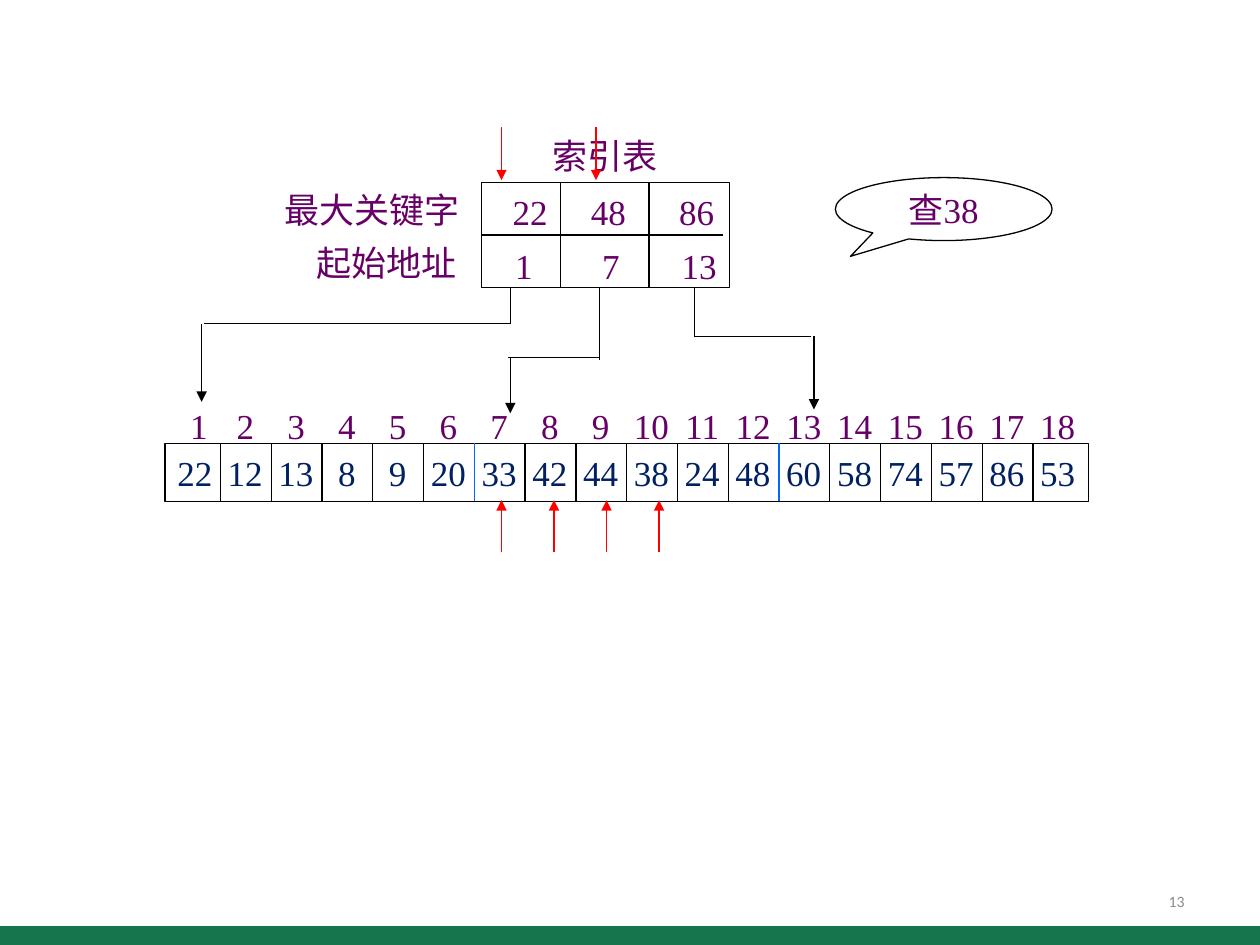
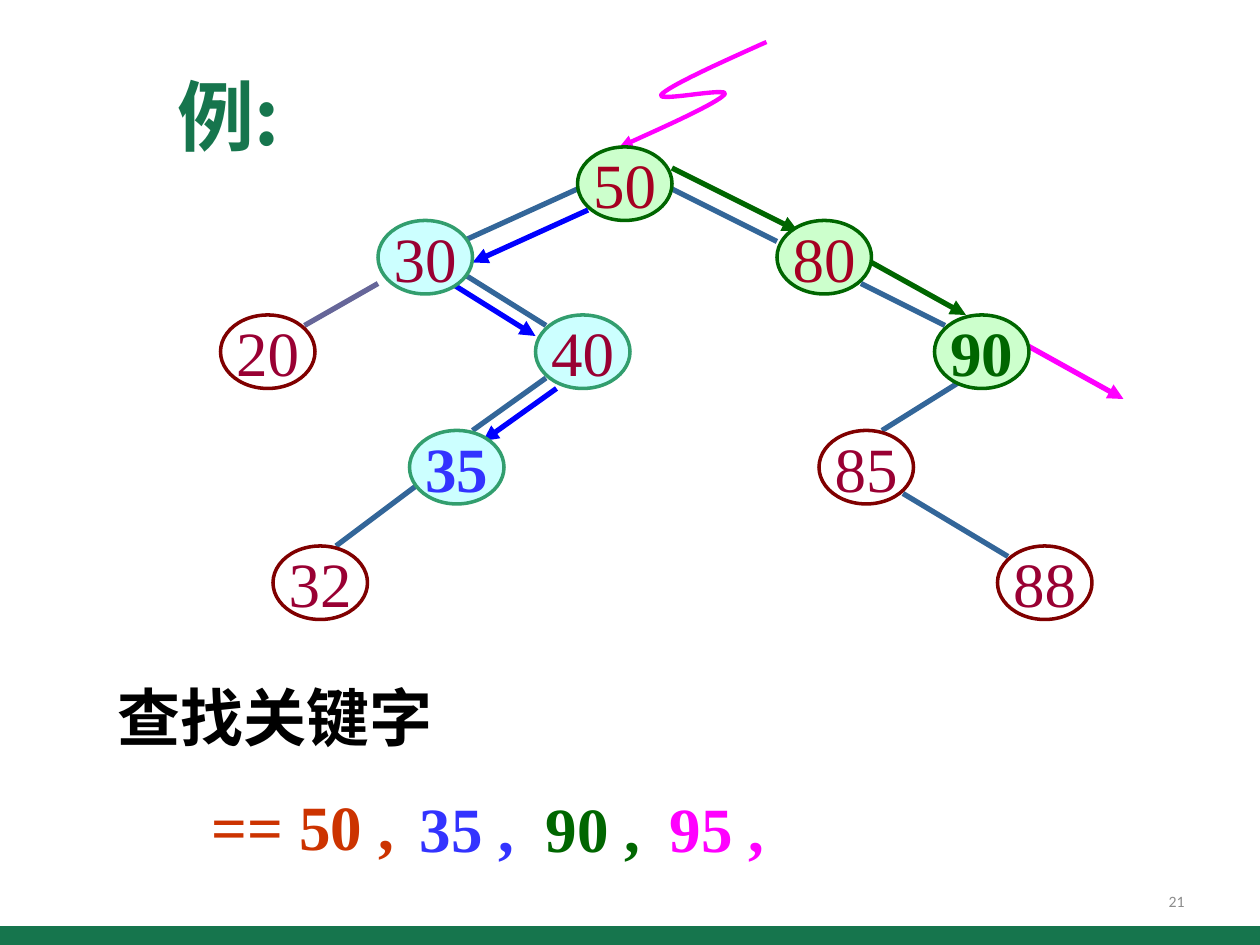
from dataclasses import dataclass
from typing import NamedTuple

import pptx
import pptx.dml.color
import pptx.enum.shapes
import pptx.enum.text
import pptx.oxml
import pptx.oxml.ns
import pptx.util

SHAPE = pptx.enum.shapes.MSO_SHAPE
ALIGN = pptx.enum.text.PP_ALIGN
ANCHOR = pptx.enum.text.MSO_ANCHOR


@dataclass(frozen=True)
class Theme:
    width: int = pptx.util.Inches(10)
    height: int = pptx.util.Inches(7.5)
    green: str = "16754D"
    gray: str = "8C8C8C"
    black: str = "000000"
    purple: str = "660066"
    navy: str = "002060"
    red: str = "FF0000"
    divider: str = "0066FF"
    edge: str = "336699"
    faded_edge: str = "666699"
    blue: str = "0000FF"
    blue_text: str = "3333FF"
    dark_green: str = "006600"
    magenta: str = "FF00FF"
    orange: str = "CC3300"
    maroon: str = "990033"
    crimson: str = "A50021"
    serif: str = "Times New Roman"
    chinese: str = "Noto Sans CJK SC"
    sans: str = "Calibri"
    number_size: float = 9
    small_size: float = 20
    large_size: float = 36
    title_size: float = 44
    thin: float = 0.75
    outline: float = 2
    curve: float = 2.5
    thick: float = 3


THEME = Theme()


class Area(NamedTuple):
    left: float
    top: float
    width: float
    height: float


class Segment(NamedTuple):
    x1: float
    y1: float
    x2: float
    y2: float
    color: str = THEME.black
    arrow: bool = False


class Style(NamedTuple):
    size: float
    font: str
    color: str
    bold: bool = False


class Label(NamedTuple):
    text: str
    area: Area
    style: Style


class NodeLook(NamedTuple):
    fill: str | None
    line: str


class Node(NamedTuple):
    key: str
    column: float
    row: float
    look: NodeLook
    color: str
    bold: bool = False


@dataclass(frozen=True)
class Grid:
    columns: int
    rows: int

    def x(self, column: float) -> int:
        return round(THEME.width * column / self.columns)

    def y(self, row: float) -> int:
        return round(THEME.height * row / self.rows)

    def place(self, area: Area) -> tuple[int, int, int, int]:
        return (self.x(area.left), self.y(area.top),
                self.x(area.width), self.y(area.height))


FINE = Grid(1000, 750)
TREE = Grid(120, 90)

INDEX_TEXT = Style(THEME.small_size, THEME.serif, THEME.purple)
INDEX_CHINESE = Style(THEME.small_size, THEME.chinese, THEME.purple)
RECORD_TEXT = Style(THEME.small_size, THEME.serif, THEME.navy)


def rgb(color: str):
    return pptx.dml.color.RGBColor.from_string(color)


def add_runs(para, runs: list[tuple[str, Style]]) -> None:
    for text, style in runs:
        span = para.add_run()
        span.text = text
        values = {"size": pptx.util.Pt(style.size), "name": style.font, "bold": style.bold}
        for name, value in values.items():
            setattr(span.font, name, value)
        span.font.color.rgb = rgb(style.color)
        if style.font == THEME.chinese:
            east_asian = pptx.oxml.ns.qn("a:ea")
            span.font._element.makeelement(east_asian)
            latin = span.font._element.find(pptx.oxml.ns.qn("a:latin"))
            latin.addnext(latin.makeelement(east_asian, {"typeface": style.font}))


def write(box, runs: list[tuple[str, Style]], align=ALIGN.LEFT, anchor=ANCHOR.TOP,
          wrap: bool = False, stops: list[int] | None = None) -> None:
    frame = box.text_frame
    values = {"word_wrap": wrap, "vertical_anchor": anchor,
              "auto_size": pptx.enum.text.MSO_AUTO_SIZE.NONE}
    for name, value in values.items():
        setattr(frame, name, value)
    para = frame.paragraphs[0]
    para.alignment = align
    if stops:
        frame.margin_right = 0
        properties = para._p.get_or_add_pPr()
        tab_list = properties.makeelement(pptx.oxml.ns.qn("a:tabLst"))
        properties.append(tab_list)
        for stop in stops:
            tab_list.append(tab_list.makeelement(
                pptx.oxml.ns.qn("a:tab"), {"pos": str(stop), "algn": "ctr"}))
    add_runs(para, runs)


def add_label(page, grid: Grid, label: Label, **layout) -> None:
    box = page.shapes.add_textbox(*grid.place(label.area))
    write(box, [(label.text, label.style)], **layout)


def add_outline(page, grid: Grid, kind, area: Area, fill: str | None,
                line: str | None, width: float = THEME.thin):
    shape = page.shapes.add_shape(kind, *grid.place(area))
    shape.shadow.inherit = False
    paint(shape, fill, line, width)
    return shape


def paint(shape, fill: str | None, line: str | None, width: float) -> None:
    for part, color in ((shape.fill, fill), (shape.line.fill, line)):
        if color is None:
            part.background()
        else:
            part.solid()
            part.fore_color.rgb = rgb(color)
    if line is not None:
        shape.line.width = pptx.util.Pt(width)


def add_arrowhead(shape) -> None:
    outline = shape.element.spPr.find(pptx.oxml.ns.qn("a:ln"))
    outline.append(outline.makeelement(pptx.oxml.ns.qn("a:tailEnd"), {"type": "triangle"}))


def add_segment(page, grid: Grid, segment: Segment, width: float = THEME.thin):
    line = page.shapes.add_connector(
        pptx.enum.shapes.MSO_CONNECTOR.STRAIGHT,
        grid.x(segment.x1), grid.y(segment.y1), grid.x(segment.x2), grid.y(segment.y2))
    line.line.color.rgb = rgb(segment.color)
    line.line.width = pptx.util.Pt(width)
    if segment.arrow:
        add_arrowhead(line)
    properties = line.element.spPr
    properties.append(properties.makeelement(pptx.oxml.ns.qn("a:effectLst")))
    return line


def add_page(deck, layout: int, number: int):
    page = deck.slides.add_slide(deck.slide_layouts[layout])
    add_outline(page, FINE, SHAPE.RECTANGLE, Area(0, 735, 1000, 15), THEME.green, None)
    style = Style(THEME.number_size, THEME.sans, THEME.gray)
    add_label(page, FINE, Label(str(number), Area(717, 695, 233, 40), style),
              align=ALIGN.RIGHT, anchor=ANCHOR.MIDDLE, wrap=True)
    return page


def add_records(page) -> None:
    keys = [22, 12, 13, 8, 9, 20, 33, 42, 44, 38, 24, 48, 60, 58, 74, 57, 86, 53]
    pitch, first_center, first_rule = 40.3, 154.5, 175
    centers = [first_center + pitch * place for place in range(1, len(keys))]

    def stops(left: float) -> list[int]:
        return [FINE.x(center - left - 10) for center in centers]

    addresses = "\t".join(str(place) for place in range(1, len(keys) + 1))
    add_label(page, FINE, Label(addresses, Area(141, 316, 728, 43), INDEX_TEXT),
              wrap=True, stops=stops(141))
    row = add_outline(page, FINE, SHAPE.RECTANGLE, Area(131, 352, 733, 46), None, THEME.black)
    write(row, [("\t".join(map(str, keys)), RECORD_TEXT)], anchor=ANCHOR.MIDDLE,
          wrap=True, stops=stops(131))
    block_ends = (6, 12)
    for place in range(1, len(keys)):
        x = first_rule + pitch * (place - 1)
        color = THEME.divider if place in block_ends else THEME.black
        add_segment(page, FINE, Segment(x, 352, x, 398, color))


def add_index_table(page) -> None:
    frame = add_outline(page, FINE, SHAPE.RECTANGLE, Area(382, 145, 197, 83), None, THEME.black)
    middle = add_segment(page, FINE, Segment(382, 186.5, 574, 186.5))
    middle.begin_connect(frame, 1)
    for x in (445, 515):
        add_segment(page, FINE, Segment(x, 145, x, 228))
    stops = [FINE.x(76), FINE.x(146)]
    for text, left, top in (("22\t48\t86", 397, 146), ("1\t7\t13", 399, 189)):
        add_label(page, FINE, Label(text, Area(left, top, 180, 43), INDEX_TEXT),
                  wrap=True, stops=stops)
    for text, area in (("索引表", Area(429, 102, 103, 43)),
                       ("最大关键字", Area(216, 145, 160, 44)),
                       ("起始地址", Area(241, 187, 132, 44))):
        add_label(page, FINE, Label(text, area, INDEX_CHINESE))


def build_index_page(deck) -> None:
    page = add_page(deck, 6, 13)
    add_records(page)
    add_index_table(page)
    routes = [
        Segment(405, 228, 405, 257), Segment(405, 257, 162, 257),
        Segment(160, 257, 160, 319, arrow=True),
        Segment(476, 228, 476, 286), Segment(476, 284, 403, 284),
        Segment(405, 284, 405, 328, arrow=True),
        Segment(551, 228, 551, 267), Segment(551, 267, 644, 267),
        Segment(646, 267, 646, 325, arrow=True),
    ]
    probes = [Segment(x, 101, x, 143, THEME.red, True) for x in (398, 473)]
    probes += [Segment(x, 438, x, 397, THEME.red, True)
               for x in (398 + 41.7 * step for step in range(4))]
    for segment in routes + probes:
        add_segment(page, FINE, segment)
    callout = add_outline(page, FINE, SHAPE.OVAL_CALLOUT, Area(663, 141, 172, 50),
                          None, THEME.black)
    for index, value in enumerate((-0.43, 0.75)):
        callout.adjustments[index] = value
    write(callout, [("查", INDEX_CHINESE), ("38", INDEX_TEXT)],
          align=ALIGN.CENTER, anchor=ANCHOR.MIDDLE)


def add_entry_curve(page) -> None:
    start = (73, 4)
    curves = [
        ((68.3, 6.1), (63.7, 8.2), (63, 9)),
        ((62.3, 9.8), (69.7, 8.2), (69, 9)),
        ((68.3, 9.8), (63.7, 11.9), (59, 14)),
    ]
    steps = 16
    points = []
    origin = start
    for first, second, end in curves:
        for step in range(1, steps + 1):
            t = step / steps
            weights = ((1 - t) ** 3, 3 * t * (1 - t) ** 2, 3 * t ** 2 * (1 - t), t ** 3)
            corners = (origin, first, second, end)
            column, row = (sum(weight * corner[axis] for weight, corner in zip(weights, corners))
                           for axis in (0, 1))
            points.append((TREE.x(column), TREE.y(row)))
        origin = end
    builder = page.shapes.build_freeform(TREE.x(start[0]), TREE.y(start[1]))
    builder.add_line_segments(points, close=False)
    curve = builder.convert_to_shape()
    curve.shadow.inherit = False
    paint(curve, None, THEME.magenta, THEME.curve)
    add_arrowhead(curve)


def add_node(page, node: Node) -> None:
    oval = add_outline(page, TREE, SHAPE.OVAL, Area(node.column, node.row, 9, 7),
                       node.look.fill, node.look.line, THEME.outline)
    style = Style(THEME.large_size, THEME.serif, node.color, node.bold)
    write(oval, [(node.key, style)], align=ALIGN.CENTER, anchor=ANCHOR.MIDDLE)


def build_tree_page(deck) -> None:
    page = add_page(deck, 5, 21)
    title = page.shapes.title
    for name, value in zip(("left", "top", "width", "height"),
                           TREE.place(Area(15.7, 5.9, 13.6, 10.1))):
        setattr(title, name, value)
    write(title, [("例:", Style(THEME.title_size, THEME.chinese, THEME.green, True))])

    edges = [
        (55, 18, 44, 23), (64, 18, 74, 23), (44, 26, 52, 31), (52, 36, 45, 41),
        (82, 27, 90, 31), (92, 36, 84, 41), (86, 47, 96, 53), (40, 46, 32, 52),
    ]
    segments = [Segment(*ends, THEME.edge) for ends in edges]
    segments.append(Segment(36, 27, 29, 31, THEME.faded_edge))
    searches = {
        THEME.blue: [(56, 20, 45, 25), (43, 27, 51, 32), (53, 37, 46, 42)],
        THEME.dark_green: [(64, 16, 76, 22), (83, 25, 92, 30)],
        THEME.magenta: [(98, 33, 107, 38)],
    }
    segments += [Segment(*ends, color, True)
                 for color, steps in searches.items() for ends in steps]
    for segment in segments:
        add_segment(page, TREE, segment, THEME.thick)
    add_entry_curve(page)

    plain = NodeLook(None, "800000")
    left_search = NodeLook("CCFFFF", "329E6E")
    right_search = NodeLook("CCFFCC", THEME.dark_green)
    nodes = [
        Node("20", 21, 30, plain, THEME.maroon),
        Node("85", 78, 41, plain, THEME.maroon),
        Node("88", 95, 52, plain, THEME.maroon),
        Node("32", 26, 52, plain, THEME.maroon),
        Node("30", 36, 21, left_search, THEME.maroon),
        Node("40", 51, 30, left_search, THEME.maroon),
        Node("35", 39, 41, left_search, THEME.blue_text, True),
        Node("50", 55, 14, right_search, THEME.crimson),
        Node("80", 74, 21, right_search, THEME.crimson),
        Node("90", 89, 30, right_search, THEME.dark_green, True),
    ]
    for node in nodes:
        add_node(page, node)

    heading = Style(THEME.large_size, THEME.chinese, THEME.black, True)
    add_label(page, TREE, Label("查找关键字", Area(10, 64, 32.6, 8.4), heading))
    targets = [
        ("== 50 ,", Area(19, 74.4, 19.8, 8.4), THEME.orange),
        ("35 ,", Area(38.8, 74.6, 11.4, 8.4), THEME.blue_text),
        ("90 ,", Area(50.8, 74.6, 11.4, 8.4), THEME.dark_green),
        ("95 ,", Area(62.6, 74.6, 11.4, 8.4), THEME.magenta),
    ]
    for text, area, color in targets:
        add_label(page, TREE, Label(text, area, Style(THEME.large_size, THEME.serif, color, True)))


def main() -> None:
    deck = pptx.Presentation()
    deck.slide_width, deck.slide_height = THEME.width, THEME.height
    build_index_page(deck)
    build_tree_page(deck)
    deck.save("out.pptx")


if __name__ == "__main__":
    main()
